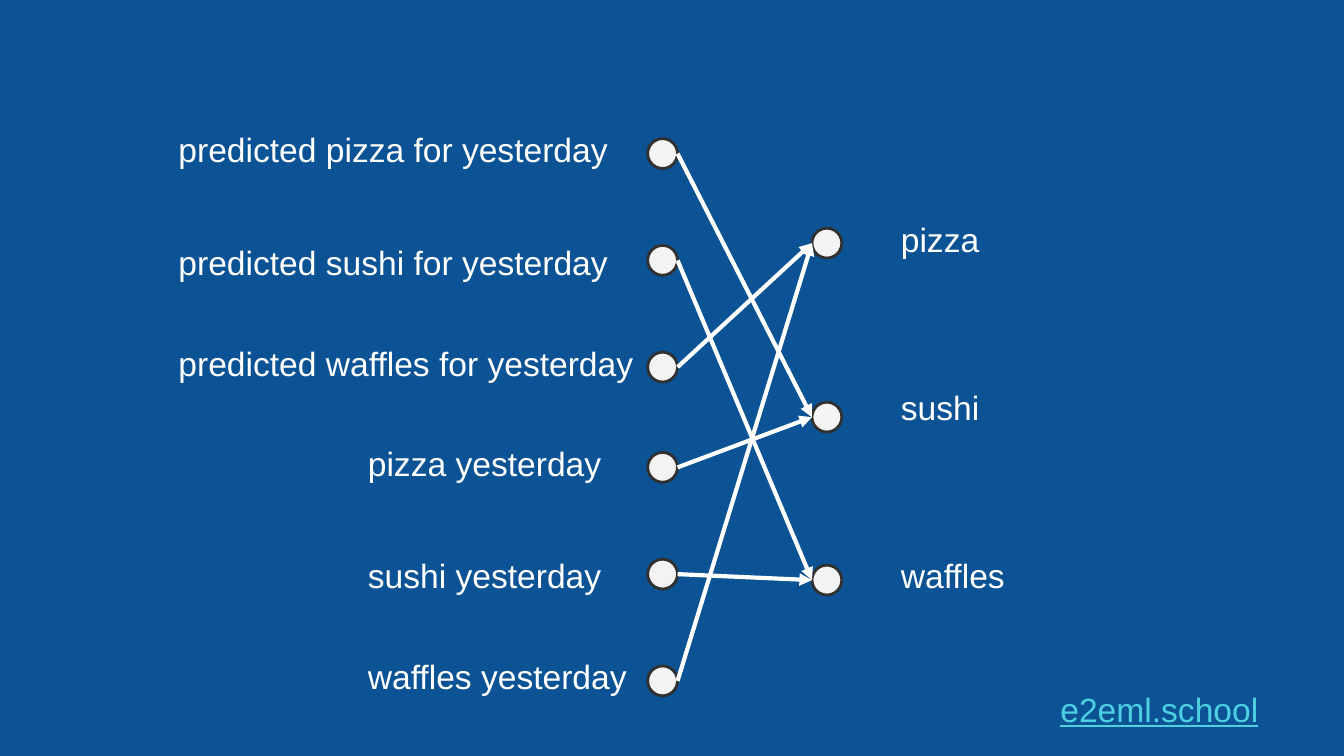
from dataclasses import dataclass

from lxml.etree import SubElement
from pptx import Presentation
from pptx.dml.color import RGBColor
from pptx.enum.shapes import MSO_CONNECTOR as Connector, MSO_SHAPE as Preset
from pptx.oxml.ns import qn
from pptx.util import Pt


@dataclass(frozen=True)
class Theme:
    background: RGBColor = RGBColor(0x0B, 0x53, 0x94)
    text: RGBColor = RGBColor(0xFF, 0xFF, 0xFF)
    link: RGBColor = RGBColor(0x4D, 0xD0, 0xE1)
    node_fill: RGBColor = RGBColor(0xF3, 0xF3, 0xF3)
    node_line: RGBColor = RGBColor(0x30, 0x30, 0x30)
    font: str = "Arial"
    text_size: float = 18
    node_line_width: float = 1.5
    arrow_width: float = 2.25


THEME = Theme()
NODE_SIZE = 16
INPUT_X, OUTPUT_X = 347, 435
LABEL_HEIGHT = 42

# Each row: label, label left, label top, label width, node top
INPUTS = [
    ("predicted pizza for yesterday", 88.5, 62, 276, 74.3),
    ("predicted sushi for yesterday", 88.5, 122.3, 276, 131.5),
    ("predicted waffles for yesterday", 88.5, 176.3, 276, 188.7),
    ("pizza yesterday", 190, 230.3, 174, 242.4),
    ("sushi yesterday", 190, 290.3, 174, 299.6),
    ("waffles yesterday", 190, 344.3, 174, 356.8),
]
OUTPUTS = [
    ("pizza", 475.5, 110.3, 84, 122.3),
    ("sushi", 475.5, 200.3, 84, 215.5),
    ("waffles", 475.5, 290.3, 84, 302.8),
]
# Output index that each input votes for
VOTES = [1, 2, 0, 1, 2, 0]


def add_label(slide, text, left, top, width, height=LABEL_HEIGHT, color=THEME.text):
    text_frame = slide.shapes.add_textbox(Pt(left), Pt(top), Pt(width), Pt(height)).text_frame
    text_frame.word_wrap = True
    text_frame.margin_left = text_frame.margin_right = Pt(7.2)
    text_frame.margin_top = text_frame.margin_bottom = Pt(7.2)
    text_frame.text = text
    paragraph = text_frame.paragraphs[0]
    font = paragraph.runs[0].font
    font.name = THEME.font
    font.size = Pt(THEME.text_size)
    font.color.rgb = color
    return paragraph


def add_node(slide, left, top):
    node = slide.shapes.add_shape(
        Preset.OVAL, Pt(left), Pt(top), Pt(NODE_SIZE), Pt(NODE_SIZE))
    node.shadow.inherit = False
    node.fill.solid()
    node.fill.fore_color.rgb = THEME.node_fill
    node.line.color.rgb = THEME.node_line
    node.line.width = Pt(THEME.node_line_width)
    return node


def add_arrow(slide, source, target):
    """Join the right edge of source to the left edge of target."""
    arrow = slide.shapes.add_connector(
        Connector.STRAIGHT,
        source.left + source.width, source.top + source.height // 2,
        target.left, target.top + target.height // 2)
    arrow.line.color.rgb = THEME.text
    arrow.line.width = Pt(THEME.arrow_width)
    SubElement(arrow.line._get_or_add_ln(), qn("a:tailEnd"), type="triangle")
    SubElement(arrow._element.spPr, qn("a:effectLst"))


def add_layer(slide, rows, node_left):
    nodes = []
    for text, left, top, width, node_top in rows:
        add_label(slide, text, left, top, width)
        nodes.append(add_node(slide, node_left, node_top))
    return nodes


def add_site_address(slide):
    paragraph = add_label(slide, "e2eml.school", 561, 358.5, 153, 34.5, THEME.link)
    paragraph.line_spacing = 1.15
    paragraph.space_after = Pt(16)
    paragraph.runs[0].font.underline = True


def main():
    presentation = Presentation()
    presentation.slide_width, presentation.slide_height = Pt(720), Pt(405)
    slide = presentation.slides.add_slide(presentation.slide_layouts[6])
    slide.background.fill.solid()
    slide.background.fill.fore_color.rgb = THEME.background

    inputs = add_layer(slide, INPUTS, INPUT_X)
    outputs = add_layer(slide, OUTPUTS, OUTPUT_X)
    for source, vote in zip(inputs, VOTES):
        add_arrow(slide, source, outputs[vote])
    add_site_address(slide)

    presentation.save("out.pptx")


if __name__ == "__main__":
    main()
